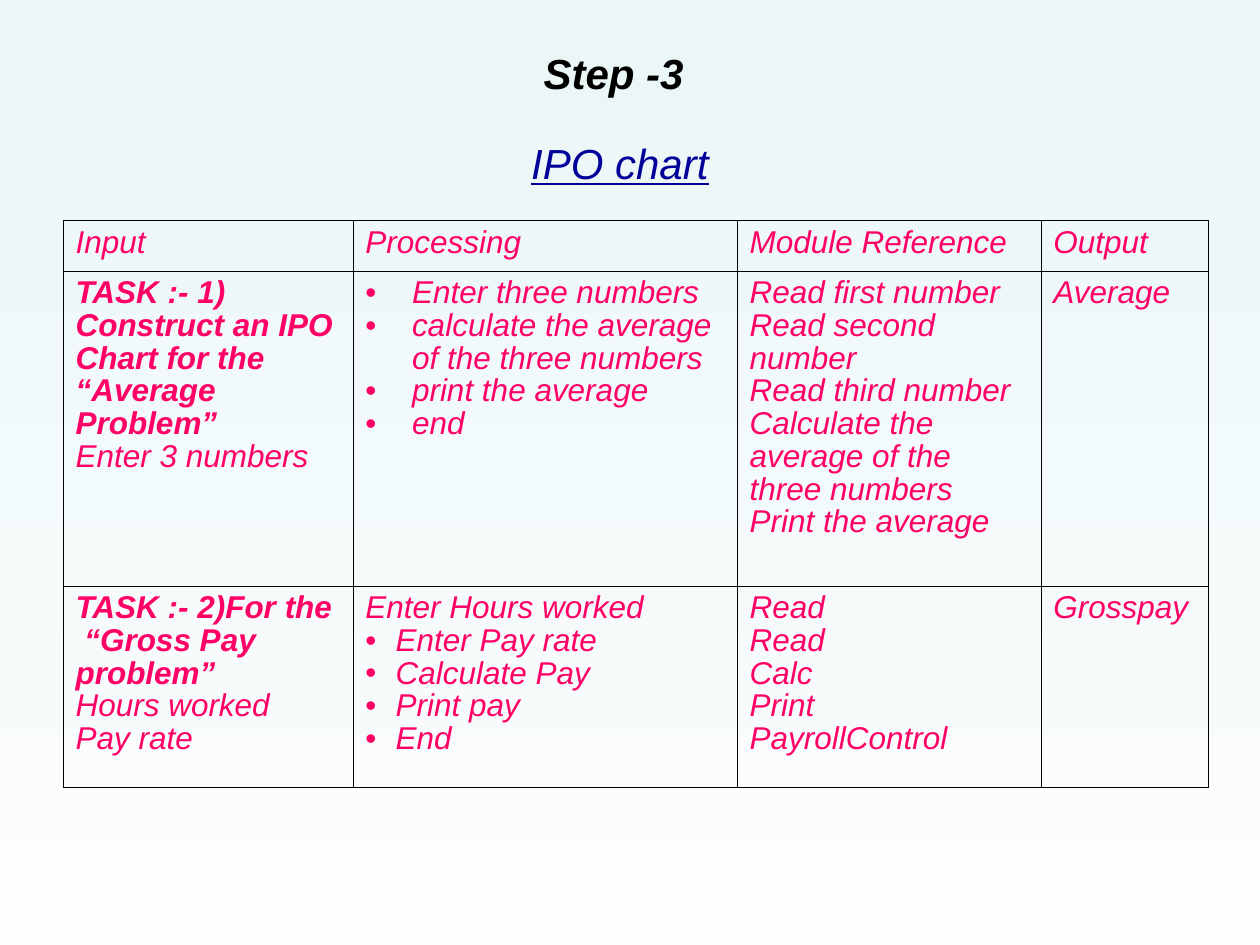
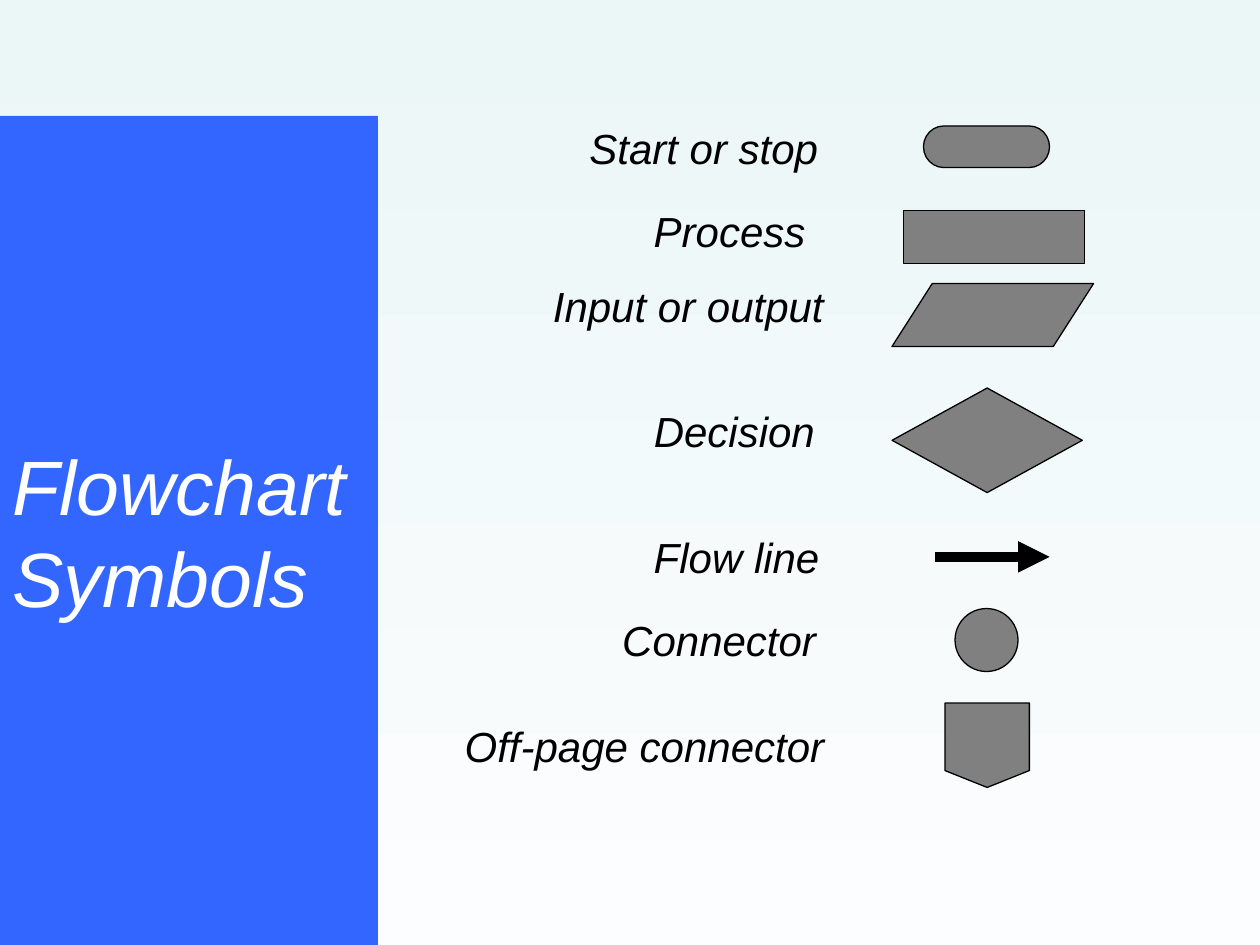
"""Builds two slides: an IPO chart table and a key to flowchart symbols."""
import pptx
import pptx.dml.color
import pptx.enum.shapes
import pptx.enum.text
import pptx.oxml.ns
import pptx.util
from lxml import etree

Inches = pptx.util.Inches
Pt = pptx.util.Pt
Shape = pptx.enum.shapes.MSO_SHAPE
Align = pptx.enum.text.PP_ALIGN
AutoSize = pptx.enum.text.MSO_AUTO_SIZE

FONT = "Arial"
SKY, MIST = "EBF6F7", "FCFDFE"
BLACK, WHITE, NAVY = "000000", "FFFFFF", "000099"
PINK, GREY, BLUE = "FF0066", "808080", "3366FF"

STEP = "Step -3"
CHART_TITLE = "IPO chart"
SYMBOLS_TITLE = "Flowchart Symbols"

PLAIN, TASK, WIDE_BULLET, TIGHT_BULLET = "plain", "task", "wide", "tight"
BULLET_INDENT = {WIDE_BULLET: 0.37, TIGHT_BULLET: 0.24}

COLUMN_WIDTHS = (2.3, 3.05, 2.41, 1.33)
ROW_HEIGHTS = (0.4, 2.5, 1.6)
IPO_ROWS = [
    [
        [(PLAIN, ["Input"])],
        [(PLAIN, ["Processing"])],
        [(PLAIN, ["Module Reference"])],
        [(PLAIN, ["Output"])],
    ],
    [
        [(TASK, ["TASK :- 1) Construct an IPO Chart for the “Average Problem”"]),
         (PLAIN, ["Enter 3 numbers"])],
        [(WIDE_BULLET, ["Enter three numbers",
                        "calculate the average of the three numbers",
                        "print the average", "end"])],
        [(PLAIN, ["Read first number", "Read second number", "Read third number",
                  "Calculate the average of the three numbers",
                  "Print the average"])],
        [(PLAIN, ["Average"])],
    ],
    [
        [(TASK, ["TASK :- 2)For the\v “Gross Pay problem”"]),
         (PLAIN, ["Hours worked", "Pay rate"])],
        [(PLAIN, ["Enter Hours worked"]),
         (TIGHT_BULLET, ["Enter Pay rate", "Calculate Pay", "Print pay", "End"])],
        [(PLAIN, ["Read", "Read", "Calc", "Print", "PayrollControl"])],
        [(PLAIN, ["Grosspay"])],
    ],
]

# label, label box, symbol, symbol box
SYMBOLS = [
    ("Start or stop", (4.58, 0.92, 2.1, 0.5),
     Shape.FLOWCHART_TERMINATOR, (7.33, 1, 1, 0.33)),
    ("Process", (5.09, 1.58, 1.5, 0.5),
     Shape.FLOWCHART_PROCESS, (7.17, 1.67, 1.44, 0.42)),
    ("Input or output", (4.29, 2.18, 2.4, 0.5),
     Shape.FLOWCHART_DATA, (7.08, 2.25, 1.6, 0.5)),
    ("Decision", (5.09, 3.17, 1.55, 0.5),
     Shape.FLOWCHART_DECISION, (7.08, 3.08, 1.51, 0.83)),
    ("Flow line", (5.09, 4.17, 1.6, 0.5),
     None, (7.42, 4.42, 0.91, 0)),
    ("Connector", (4.84, 4.83, 1.8, 0.5),
     Shape.FLOWCHART_CONNECTOR, (7.58, 4.83, 0.5, 0.5)),
    ("Off-page connector", (3.59, 5.67, 3.1, 0.5),
     Shape.FLOWCHART_OFFPAGE_CONNECTOR, (7.5, 5.58, 0.67, 0.67)),
]


def rgb(color):
    return pptx.dml.color.RGBColor.from_string(color)


def inches(*lengths):
    return [Inches(length) for length in lengths]


def add_xml(parent, tag, **attributes):
    return etree.SubElement(parent, pptx.oxml.ns.qn(tag), attributes)


def style(paragraph, size, color, bold=False, underline=False):
    for run in paragraph.runs:
        font = run.font
        font.name, font.size = FONT, Pt(size)
        font.italic, font.bold, font.underline = True, bold, underline
        font.color.rgb = rgb(color)


def paint_background(master):
    fill = master.background.fill
    fill.gradient()
    fill.gradient_angle = 270
    for stop, color in zip(fill.gradient_stops, (SKY, MIST)):
        stop.color.rgb = rgb(color)


def add_titled_slide(deck, text, box, size, color, align, underline=False):
    slide = deck.slides.add_slide(deck.slide_layouts[5])
    title = slide.shapes.title
    title.left, title.top, title.width, title.height = inches(*box)
    frame = title.text_frame
    frame.text = text
    frame.auto_size = AutoSize.NONE
    frame.vertical_anchor = pptx.enum.text.MSO_ANCHOR.MIDDLE
    frame.paragraphs[0].alignment = align
    style(frame.paragraphs[0], size, color, underline=underline)
    return slide


def add_label(slide, text, box, bold=False, align=Align.LEFT):
    frame = slide.shapes.add_textbox(*inches(*box)).text_frame
    frame.text = text
    frame.word_wrap = True
    frame.auto_size = AutoSize.NONE
    frame.paragraphs[0].alignment = align
    style(frame.paragraphs[0], 24, BLACK, bold)


def add_bullet(paragraph, indent):
    properties = paragraph._p.get_or_add_pPr()
    properties.set("marL", str(Inches(indent)))
    properties.set("indent", str(-Inches(indent)))
    add_xml(add_xml(properties, "a:buClr"), "a:srgbClr", val=PINK)
    add_xml(properties, "a:buFont", typeface=FONT)
    add_xml(properties, "a:buChar", char="•")


def draw_borders(cell):
    properties = cell._tc.get_or_add_tcPr()
    for side in ("a:lnL", "a:lnR", "a:lnT", "a:lnB"):
        border = add_xml(properties, side, w=str(Pt(0.23)))
        add_xml(add_xml(border, "a:solidFill"), "a:srgbClr", val=BLACK)


def fill_cell(cell, groups):
    draw_borders(cell)
    cell.fill.background()
    lines = [(kind, text) for kind, texts in groups for text in texts]
    for index, (kind, text) in enumerate(lines):
        frame = cell.text_frame
        paragraph = frame.add_paragraph() if index else frame.paragraphs[0]
        paragraph.text = text
        if kind in BULLET_INDENT:
            add_bullet(paragraph, BULLET_INDENT[kind])
        paragraph.line_spacing = 0.93
        style(paragraph, 18, PINK, bold=kind == TASK)


def add_ipo_table(slide):
    box = inches(0.5, 1.75, sum(COLUMN_WIDTHS), sum(ROW_HEIGHTS))
    table = slide.shapes.add_table(len(ROW_HEIGHTS), len(COLUMN_WIDTHS), *box).table
    table.first_row = table.horz_banding = False
    for column, width in zip(table.columns, COLUMN_WIDTHS):
        column.width = Inches(width)
    for row, height, contents in zip(table.rows, ROW_HEIGHTS, IPO_ROWS):
        row.height = Inches(height)
        for cell, groups in zip(row.cells, contents):
            fill_cell(cell, groups)


def add_symbol(slide, kind, box):
    symbol = slide.shapes.add_shape(kind, *inches(*box))
    symbol.shadow.inherit = False
    symbol.fill.solid()
    symbol.fill.fore_color.rgb = rgb(GREY)
    symbol.line.color.rgb = rgb(BLACK)
    symbol.line.width = Pt(0.75)


def add_flow_line(slide, box):
    left, top, width, height = box
    arrow = slide.shapes.add_connector(
        pptx.enum.shapes.MSO_CONNECTOR.STRAIGHT,
        *inches(left, top, left + width, top + height))
    arrow.line.color.rgb = rgb(BLACK)
    arrow.line.width = Pt(6)
    add_xml(arrow.line._get_or_add_ln(), "a:tailEnd", type="triangle")
    add_xml(arrow._element.spPr, "a:effectLst")


def build_ipo_slide(deck):
    slide = add_titled_slide(deck, CHART_TITLE, (0.42, 0.83, 9, 0.92), 24, NAVY,
                             Align.CENTER, underline=True)
    add_ipo_table(slide)
    add_label(slide, STEP, (4.08, 0.33, 1.58, 0.5), True, Align.CENTER)


def build_symbols_slide(deck):
    slide = add_titled_slide(deck, SYMBOLS_TITLE, (0, 0.92, 3, 6.58), 44, WHITE,
                             Align.LEFT)
    band = slide.shapes.title.fill
    band.solid()
    band.fore_color.rgb = rgb(BLUE)
    for label, label_box, kind, symbol_box in SYMBOLS:
        add_label(slide, label, label_box)
        if kind is None:
            add_flow_line(slide, symbol_box)
        else:
            add_symbol(slide, kind, symbol_box)


def main():
    deck = pptx.Presentation()
    deck.slide_width, deck.slide_height = inches(10, 7.5)
    paint_background(deck.slide_master)
    build_ipo_slide(deck)
    build_symbols_slide(deck)
    deck.save("out.pptx")


if __name__ == "__main__":
    main()
